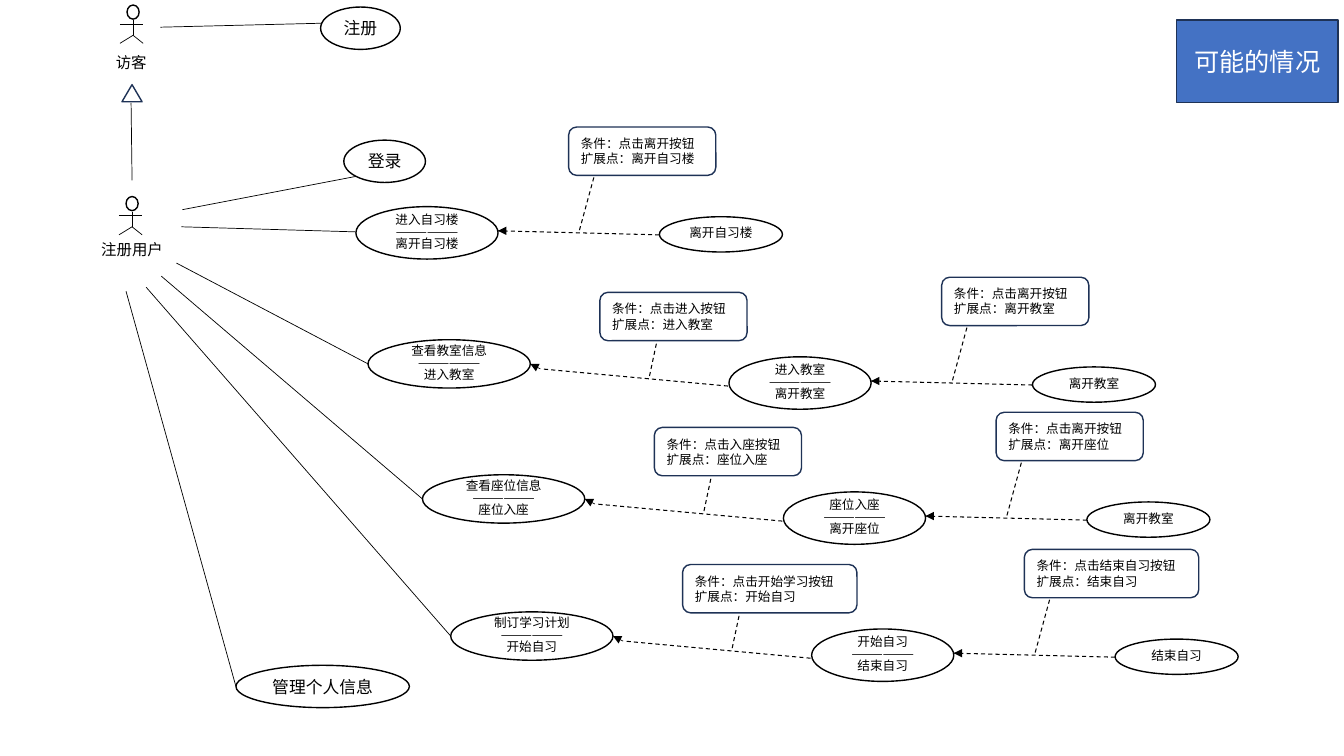
from lxml import etree
from pptx import Presentation, util as u
from pptx.dml.color import RGBColor
from pptx.enum import dml, shapes, text
from pptx.oxml.ns import qn

CELL = u.Inches(0.1)  # one column or row of the slide grid
WIDE, HIGH = 133.3, 75
FONT = "Noto Sans CJK SC"
HUES = {"ink": "000000", "paper": "FFFFFF", "navy": "1E3256", "blue": "4472C4"}
KIND = shapes.MSO_SHAPE
MID = text.PP_ALIGN.CENTER
RULE = "—" * 6


def cells(*nums):
    """Turn columns and rows into lengths."""
    return [round(n * CELL) for n in nums]


def hue(name):
    """Look up a colour by name."""
    return RGBColor.from_string(HUES[name])


def write(frame, words, size=9, ink="ink", align=None, space=None):
    """Fill a text frame with one paragraph for each line of words."""
    frame.word_wrap = True
    for i, line in enumerate(words.split("\n")):
        para = frame.add_paragraph() if i else frame.paragraphs[0]
        para.alignment, para.line_spacing = align, space
        run = para.add_run()
        run.text = line
        run.font.size = u.Pt(size)
        run.font.name = FONT
        run.font.color.rgb = hue(ink)
        east = etree.SubElement(run.font._element, qn("a:ea"))
        east.set("typeface", FONT)


def box(slide, kind, x, y, w, h, words="", fill="paper", edge="ink", pad=1, **style):
    """Draw a preset shape, with text if there is any."""
    item = slide.shapes.add_shape(kind, *cells(x, y, w, h))
    item.shadow.inherit = False
    item.fill.solid()
    item.fill.fore_color.rgb = hue(fill)
    item.line.color.rgb = hue(edge)
    item.line.width = u.Pt(1)
    if words:
        frame = item.text_frame
        frame.vertical_anchor = text.MSO_ANCHOR.MIDDLE
        frame.margin_left = frame.margin_right = cells(pad)[0]
        write(frame, words, **style)


def line(slide, x1, y1, x2, y2, dash=False, head=False):
    """Draw a straight line, dashed or with an arrowhead at its end."""
    link = slide.shapes.add_connector(
        shapes.MSO_CONNECTOR.STRAIGHT, *cells(x1, y1, x2, y2))
    link.line.color.rgb = hue("ink")
    link.line.width = u.Pt(0.75 if dash else 0.5)
    if dash:
        link.line.dash_style = dml.MSO_LINE.DASH
    props = link._element.spPr
    if head:
        tip = etree.SubElement(props.find(qn("a:ln")), qn("a:tailEnd"))
        tip.set("type", "triangle")
    etree.SubElement(props, qn("a:effectLst"))


def case(slide, x, y, w, h, words, size=9, space=0.8):
    """Draw a use case as an ellipse."""
    box(slide, KIND.OVAL, x, y, w, h, words, pad=0,
        size=size, align=MID, space=space)


def note(slide, x, y, w, press, point):
    """Draw the condition and the extension point of a use case."""
    box(slide, KIND.ROUNDED_RECTANGLE, x, y, w, 4.8,
        f"条件：点击{press}按钮\n扩展点：{point}", edge="navy", align=text.PP_ALIGN.LEFT)


def actor(slide, x, y, name, wide, drop):
    """Draw a stick figure whose head starts at x, y, with its name."""
    box(slide, KIND.OVAL, x, y, 1.2, 1.4)
    for x1, y1, x2, y2 in ((-0.7, 1.9, 1.6, 1.9), (0.6, 1.5, 0.6, 3),
                           (0.6, 3, -0.7, 3.8), (0.6, 3, 1.6, 3.8)):
        line(slide, x + x1, y + y1, x + x2, y + y2)
    label = slide.shapes.add_textbox(
        *cells(x + 0.65 - wide / 2, y + drop, wide, 2.9))
    write(label.text_frame, name, size=11)


def leave(slide, x, y, enter, exit, press, end, wide=14.6):
    """Draw a use case at x, y and the one that extends it on leaving."""
    line(slide, x + 30.1, y + 2.8, x + 14.1, y + 2.4, dash=True)
    line(slide, x + 14.8, y + 2.4, x + 14.1, y + 2.4, head=True)
    line(slide, x + 23.6, y - 2.9, x + 22.1, y + 2.6, dash=True)
    note(slide, x + 21.1, y - 7.9, wide, press, exit)
    case(slide, x, y, 14.1, 5.2, f"{enter}\n{RULE}\n{exit}")
    case(slide, x + 30.1, y + 1, 12.2, 3.5, end)


def chain(slide, x, y, view, enter, start, exit, stop, end, wide=14.6):
    """Draw a viewing case, the entry that extends it, and the leaving."""
    case(slide, x, y, 16.1, 4.8, f"{view}\n{RULE}\n{enter}")
    line(slide, x + 35.7, y + 4.6, x + 17.2, y + 2.9, dash=True)
    line(slide, x + 17.1, y + 2.9, x + 16.1, y + 2.4, head=True)
    line(slide, x + 28.6, y + 0.4, x + 27.9, y + 3.7, dash=True)
    note(slide, x + 23, y - 4.7, wide, start, enter)
    leave(slide, x + 35.8, y + 1.7, enter, exit, stop, end, wide)


def main():
    """Build the slide and save it."""
    deck = Presentation()
    deck.slide_width, deck.slide_height = cells(WIDE, HIGH)
    slide = deck.slides.add_slide(deck.slide_layouts[6])

    for ends in ((15.9, 2.7, 32.1, 2.3), (18.1, 20.8, 35.3, 17.5),
                 (12.5, 28.9, 23.4, 68.1), (13, 10.2, 13.1, 17.9),
                 (18, 22.5, 35.2, 23), (17.5, 26.1, 36.5, 36.1),
                 (16, 27.4, 41.9, 49.5), (14.5, 28.5, 44.7, 63.1)):
        line(slide, *ends)
    box(slide, KIND.ISOSCELES_TRIANGLE, 12.1, 8.4, 2, 1.7, edge="navy")
    actor(slide, 12.6, 0.5, "访客", 5.5, 4.3)
    actor(slide, 12.5, 19.5, "注册用户", 8.2, 3.8)

    for x, y, w, words in ((31.8, 0.7, 7.9, "注册"), (34.1, 13.9, 8.1, "登录"),
                           (23.4, 66, 17.2, "管理个人信息")):
        case(slide, x, y, w, 4.2, words, size=12, space=None)

    leave(slide, 35.3, 20.5, "进入自习楼", "离开自习楼", "离开", "离开自习楼")
    chain(slide, 36.5, 33.7, "查看教室信息", "进入教室", "进入",
          "离开教室", "离开", "离开教室")
    chain(slide, 41.9, 47.1, "查看座位信息", "座位入座", "入座",
          "离开座位", "离开", "离开教室")
    chain(slide, 44.7, 60.7, "制订学习计划", "开始自习", "开始学习",
          "结束自习", "结束自习", "结束自习", wide=17.3)
    box(slide, KIND.RECTANGLE, 116.7, 2, 16, 8.2, "可能的情况",
        fill="blue", edge="navy", size=18, ink="paper", align=MID)
    deck.save("out.pptx")


main()
